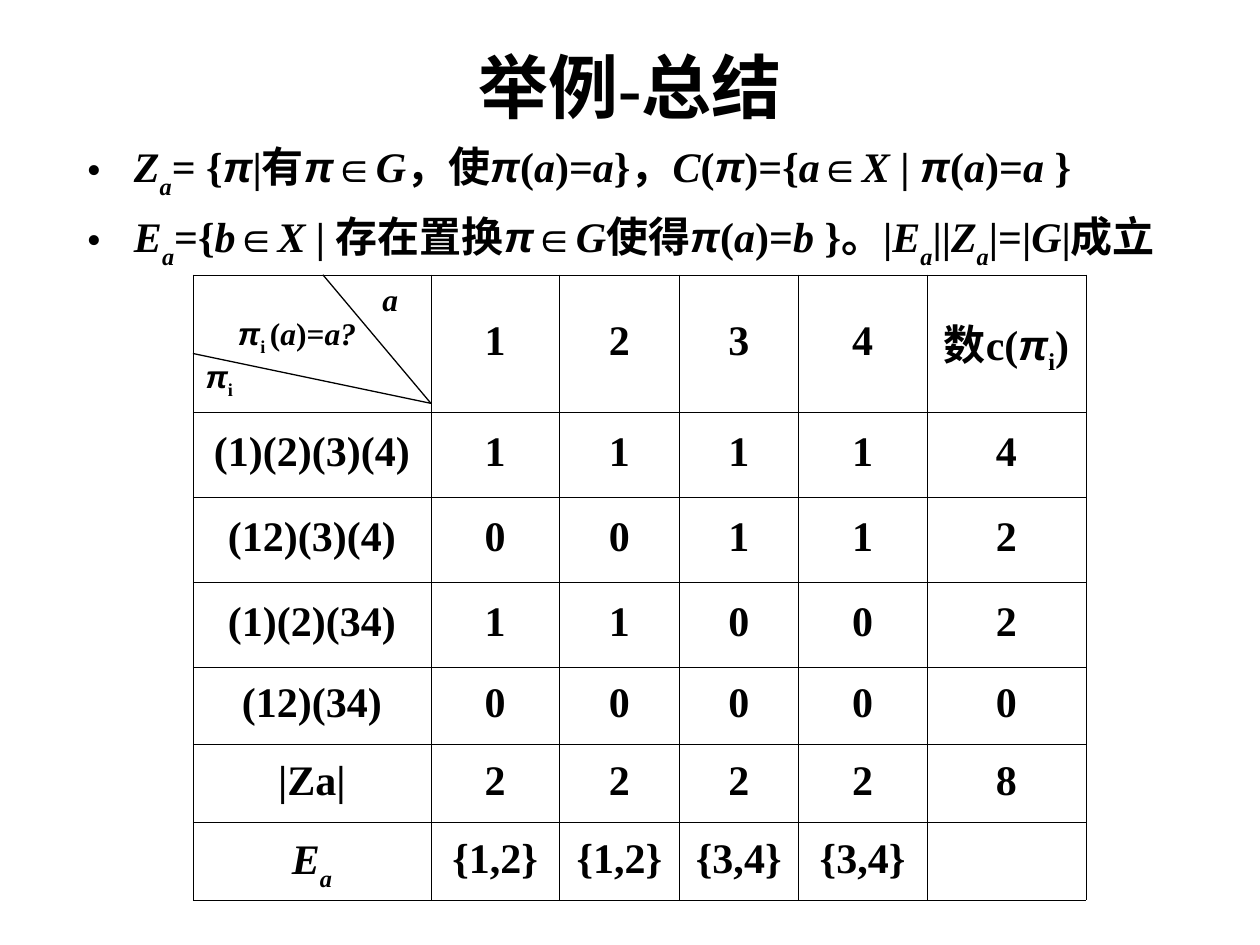
from dataclasses import dataclass
from itertools import groupby

import pptx
import pptx.dml.color
import pptx.enum.shapes
import pptx.enum.text
import pptx.oxml.ns
import pptx.util
from lxml import etree

Pt = pptx.util.Pt
ALIGN = pptx.enum.text.PP_ALIGN
ANCHOR = pptx.enum.text.MSO_ANCHOR
qn = pptx.oxml.ns.qn

BLACK = "000000"
SERIF, SYMBOL = "Times New Roman", "Arial"


@dataclass
class Para:
    """Text markup: *italic*, _x for a subscript character."""
    text: str
    size: float = 24
    align: ALIGN = ALIGN.CENTER
    spacing: float | None = None
    indent: float = 0
    before: float = 0
    bullet: bool = False


@dataclass
class Line:
    x1: float
    y1: float
    x2: float
    y2: float


def color(value: str) -> pptx.dml.color.RGBColor:
    return pptx.dml.color.RGBColor.from_string(value)


def styled_chars(text: str) -> list:
    chars, italic, sub = [], False, False
    for ch in text:
        if ch == "*":
            italic = not italic
        elif ch == "_":
            sub = True
        else:
            font = SYMBOL if ch in "π∈" else SERIF
            slanted = ch == "π" or (italic and ch != "∈")
            chars.append((ch, (font, slanted, sub)))
            sub = False
    return chars


def fill_paragraph(p, para: Para) -> None:
    pPr = p._p.get_or_add_pPr()
    p.alignment = para.align
    if para.spacing:
        p.line_spacing = para.spacing
    if para.before:
        p.space_before = Pt(para.before)
    if para.indent:
        pPr.set("marL", str(Pt(para.indent)))
    if para.bullet:
        pPr.set("indent", str(-Pt(para.indent)))
        etree.SubElement(pPr, qn("a:buFont"), typeface=SERIF)
        etree.SubElement(pPr, qn("a:buChar"), char="•")
    for (font, italic, sub), group in groupby(styled_chars(para.text), lambda c: c[1]):
        r = p.add_run()
        r.text = "".join(ch for ch, _ in group)
        r.font.name, r.font.size = font, Pt(para.size)
        r.font.bold, r.font.italic = True, italic
        r.font.color.rgb = color(BLACK)
        if sub:
            r._r.get_or_add_rPr().set("baseline", "-30000" if italic else "-25000")


def fill_frame(tf, paras: list[Para]) -> None:
    for i, para in enumerate(paras):
        fill_paragraph(tf.add_paragraph() if i else tf.paragraphs[0], para)


def add_text(s, x: float, y: float, w: float, h: float, paras: list[Para]) -> None:
    tf = s.shapes.add_textbox(Pt(x), Pt(y), Pt(w), Pt(h)).text_frame
    tf.word_wrap = True
    fill_frame(tf, paras)


def set_borders(cell) -> None:
    tcPr = cell._tc.get_or_add_tcPr()
    for side in ("lnL", "lnR", "lnT", "lnB"):
        ln = etree.SubElement(tcPr, qn(f"a:{side}"), w=str(Pt(0.11)))
        fill = etree.SubElement(ln, qn("a:solidFill"))
        etree.SubElement(fill, qn("a:srgbClr"), val=BLACK)


def add_line(s, line: Line) -> None:
    sp = s.shapes.add_connector(pptx.enum.shapes.MSO_CONNECTOR.STRAIGHT,
                                Pt(line.x1), Pt(line.y1), Pt(line.x2), Pt(line.y2))
    sp.line.color.rgb = color(BLACK)
    sp.line.width = Pt(0.75)
    etree.SubElement(sp._element.spPr, qn("a:effectLst"))


# Table content and grid
LEFT, TOP = 110.25, 157
COLS = [136, 73.5, 68.5, 68, 73.5, 91]
ROWS = [78.5] + [48.5] * 3 + [44.5] * 3
CELLS = [
    ["", "1", "2", "3", "4", "数c(π_i)"],
    ["(1)(2)(3)(4)", "1", "1", "1", "1", "4"],
    ["(12)(3)(4)", "0", "0", "1", "1", "2"],
    ["(1)(2)(34)", "1", "1", "0", "0", "2"],
    ["(12)(34)", "0", "0", "0", "0", "0"],
    ["|Za|", "2", "2", "2", "2", "8"],
    ["*E_a*", "{1,2}", "{1,2}", "{3,4}", "{3,4}", ""],
]
CORNER = [
    Para("*a*", 18, ALIGN.LEFT, 0.87, indent=101),
    Para("π_i_ (*a*)=*a?*", 18, ALIGN.LEFT, 0.87, indent=18.5),
    Para("π_i", 18, ALIGN.LEFT, 1.19),
]


def add_grid(s) -> None:
    table = s.shapes.add_table(len(ROWS), len(COLS), Pt(LEFT), Pt(TOP),
                               Pt(sum(COLS)), Pt(sum(ROWS))).table
    table.first_row = table.horz_banding = False
    for col, width in zip(table.columns, COLS):
        col.width = Pt(width)
    for row, height, texts in zip(table.rows, ROWS, CELLS):
        row.height = Pt(height)
        for cell, text in zip(row.cells, texts):
            cell.vertical_anchor = ANCHOR.MIDDLE
            set_borders(cell)
            cell.fill.background()
            fill_frame(cell.text_frame, [Para(text, spacing=0.87)])
    # The header of the last column needs narrow side margins
    last = table.cell(0, len(COLS) - 1)
    last.margin_left = last.margin_right = Pt(3)
    fill_frame(table.cell(0, 0).text_frame, CORNER)


def main() -> None:
    prs = pptx.Presentation()
    prs.slide_width, prs.slide_height = Pt(720), Pt(540)
    s = prs.slides.add_slide(prs.slide_layouts[6])

    # Title
    add_text(s, 36, 21.5, 648, 50, [Para("举例-总结", 40)])

    # Definitions
    definitions = [
        "*Z_a*= {π|有π∈*G*，使π(*a*)=*a*}，*C*(π)={*a*∈*X* | π(*a*)=*a *}",
        "*E_a*={*b*∈*X | *存在置换π∈*G*使得π(*a*)=*b *}。|*E_a*||*Z_a*|=|*G*|成立",
    ]
    add_text(s, 42.5, 77, 648, 85, [
        Para(text, align=ALIGN.LEFT, indent=27, before=6 * (i > 0), bullet=True)
        for i, text in enumerate(definitions)])

    # Table with the two divider lines of its corner cell
    add_grid(s)
    corner_x, corner_y = LEFT + COLS[0], 230.5
    for x, y in ((184.5, TOP), (LEFT, 202)):
        add_line(s, Line(x, y, corner_x, corner_y))

    prs.save("out.pptx")


if __name__ == "__main__":
    main()
